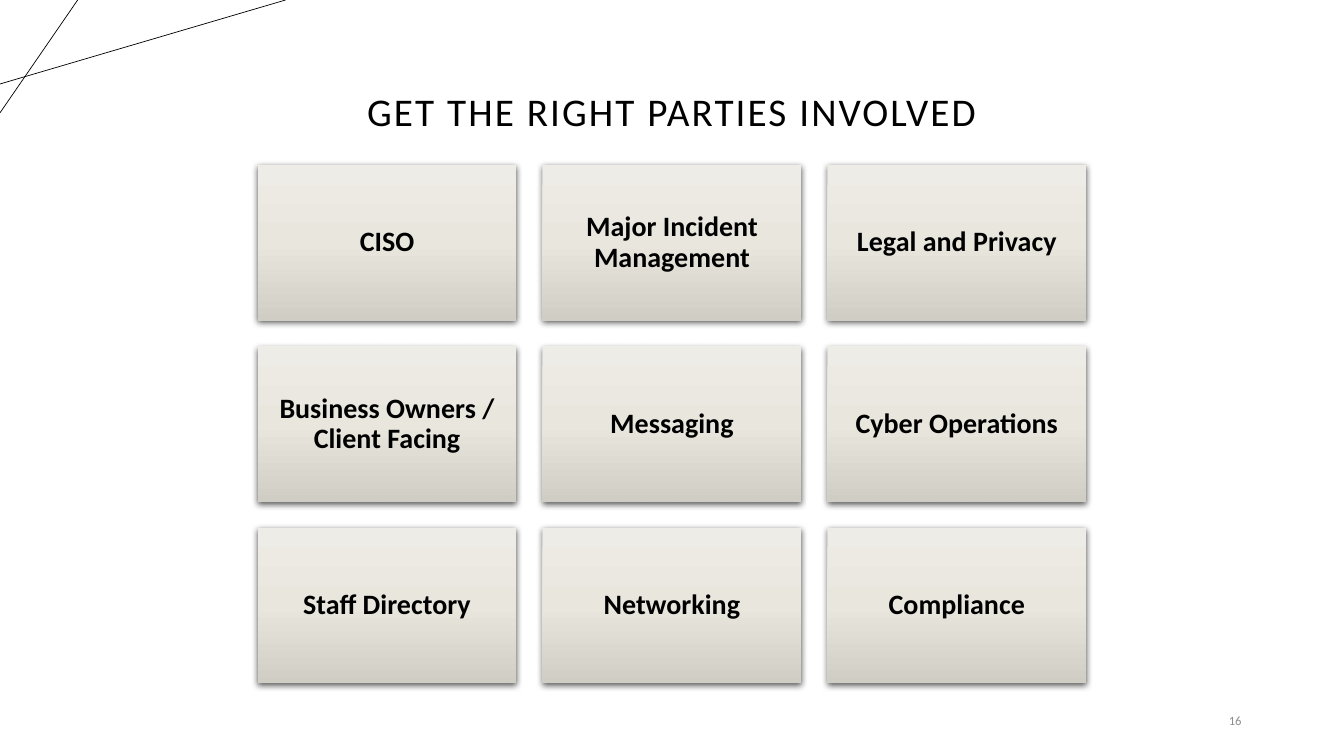
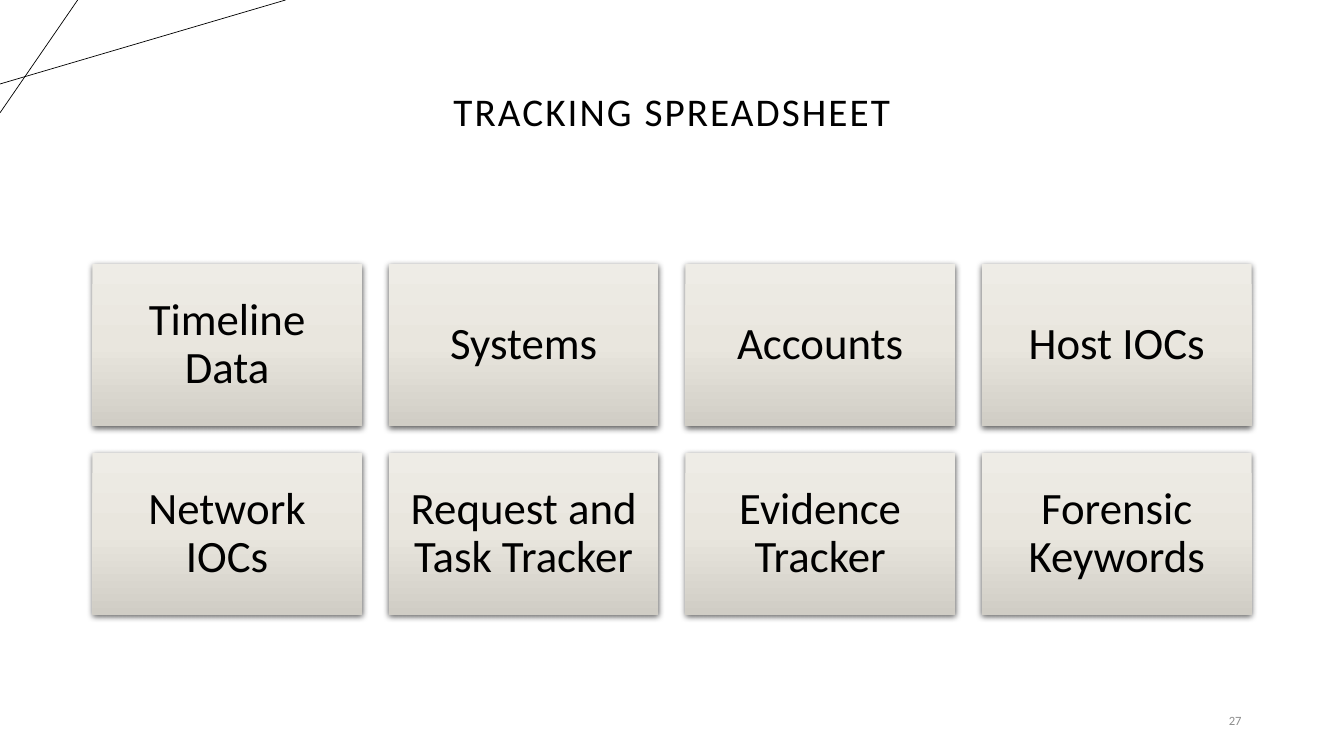
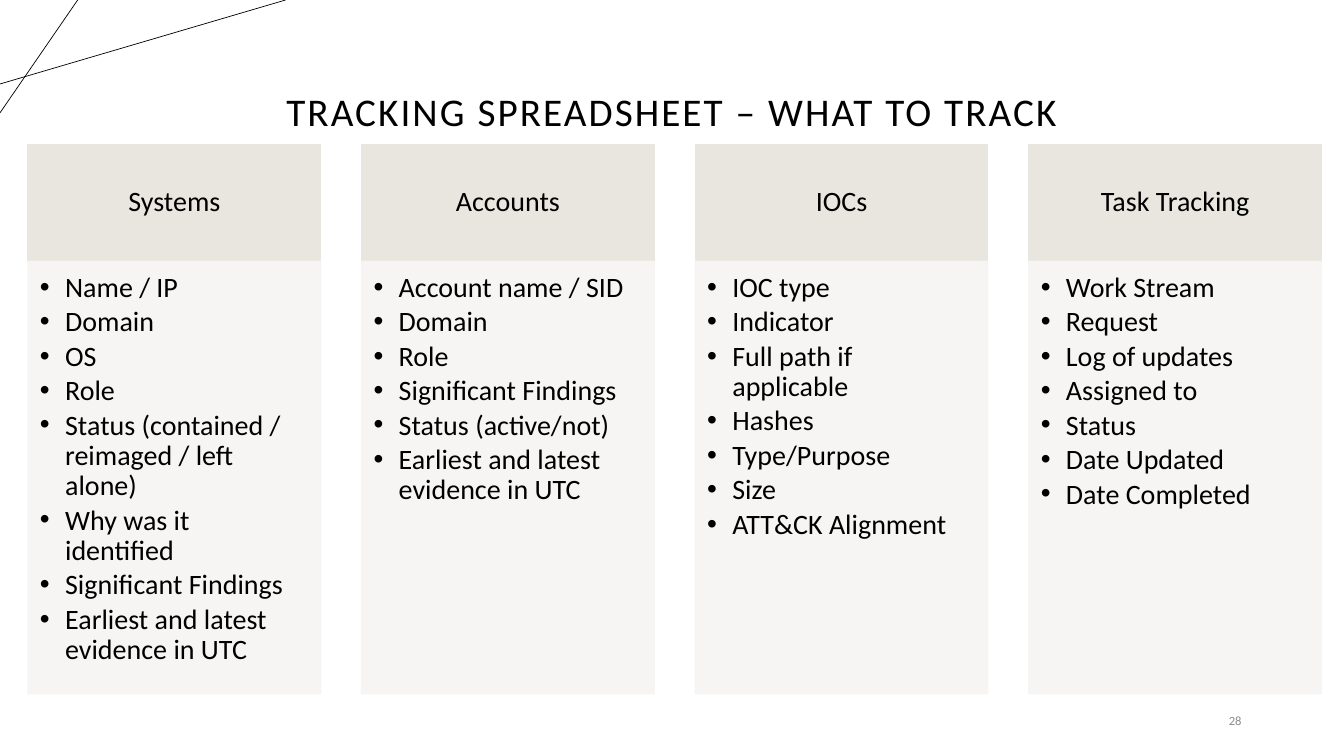
from copy import deepcopy
from dataclasses import dataclass

from lxml.etree import SubElement
from pptx import Presentation
from pptx.dml.color import RGBColor
from pptx.enum.shapes import MSO_CONNECTOR, MSO_SHAPE
from pptx.enum.text import MSO_ANCHOR, MSO_AUTO_SIZE, PP_ALIGN
from pptx.oxml.ns import qn
from pptx.util import Pt

# Content
TILE_PAGES = [
    {
        "title": "GET THE RIGHT PARTIES INVOLVED", "number": "16",
        "columns": 3, "top": 118, "span": 592,
        "text": {"size": 20, "bold": True, "insets": (6, 6, 6, 6)},
        "tiles": [
            "CISO", "Major Incident Management", "Legal and Privacy",
            "Business Owners / Client Facing", "Messaging", "Cyber Operations",
            "Staff Directory", "Networking", "Compliance",
        ],
    },
    {
        "title": "TRACKING SPREADSHEET", "number": "27",
        "columns": 4, "top": 188.7, "span": 828,
        "text": {"size": 32, "insets": (9.6, 9.6, 9.6, 9.6)},
        "tiles": [
            "Timeline Data", "Systems", "Accounts", "Host IOCs",
            "Network IOCs", "Request and Task Tracker", "Evidence Tracker", "Forensic Keywords",
        ],
    },
]
TRACK_PAGE = {
    "title": "TRACKING SPREADSHEET – WHAT TO TRACK", "number": "28",
    "columns": {
        "Systems": [
            "Name / IP", "Domain", "OS", "Role",
            "Status (contained / reimaged / left alone)", "Why was it identified",
            "Significant Findings", "Earliest and latest evidence in UTC",
        ],
        "Accounts": [
            "Account name / SID", "Domain", "Role", "Significant Findings",
            "Status (active/not)", "Earliest and latest evidence in UTC",
        ],
        "IOCs": [
            "IOC type", "Indicator", "Full path if applicable", "Hashes",
            "Type/Purpose", "Size", "ATT&CK Alignment",
        ],
        "Task Tracking": [
            "Work Stream", "Request", "Log of updates", "Assigned to",
            "Status", "Date Updated", "Date Completed",
        ],
    },
}


@dataclass(frozen=True)
class Theme:
    font: str = "Calibri"
    ink: str = "000000"
    muted: str = "8C8C8C"
    header: str = "E9E6DF"
    panel: str = "F7F5F3"
    tile: tuple = ((0, "EEECE6"), (0.5, "E9E6DE"), (1, "D0CDC5"))
    title_size: float = 28
    body_size: float = 20
    number_size: float = 9


THEME = Theme()
WIDTH, HEIGHT = 960, 540
CORNER_LINES = [(0, 60, 204, 0), (55.5, 0, 0, 80.6)]


def color(value):
    return RGBColor.from_string(value)


def points(*values):
    return [Pt(value) for value in values]


# Text
def write(shape, text, *, size=THEME.body_size, ink=THEME.ink, bold=False,
          align=PP_ALIGN.CENTER, anchor=MSO_ANCHOR.MIDDLE, insets=(7.2, 3.6, 7.2, 3.6),
          line_spacing=0.9, after=0, bullet=None, tracking=None):
    """Fill a shape with one paragraph, or with one for each item of a list."""
    frame = shape.text_frame
    frame.word_wrap = True
    frame.auto_size = MSO_AUTO_SIZE.NONE
    frame.vertical_anchor = anchor
    (frame.margin_left, frame.margin_top,
     frame.margin_right, frame.margin_bottom) = points(*insets)
    lines = [text] if isinstance(text, str) else text
    for index, line in enumerate(lines):
        para = frame.add_paragraph() if index else frame.paragraphs[0]
        para.alignment = align
        para.line_spacing = line_spacing
        para.space_before = Pt(0)
        para.space_after = Pt(after)
        if bullet:
            properties = para._p.get_or_add_pPr()
            properties.set("marL", str(Pt(18)))
            properties.set("indent", str(-Pt(18)))
            SubElement(properties, qn("a:buFont"), typeface="Arial")
            SubElement(properties, qn("a:buChar"), char=bullet)
        span = para.add_run()
        span.text = line
        span.font.name = THEME.font
        span.font.size = Pt(size)
        span.font.bold = bold
        span.font.color.rgb = color(ink)
        if tracking:
            span._r.get_or_add_rPr().set("spc", str(round(tracking * 100)))


# Shapes
def add_box(page, left, top, width, height):
    box = page.shapes.add_shape(MSO_SHAPE.RECTANGLE, *points(left, top, width, height))
    box.shadow.inherit = False
    return box


def add_tile(page, *place):
    box = add_box(page, *place)
    box.line.fill.background()
    box.fill.gradient()
    box.fill.gradient_angle = 270
    stops = box._element.spPr.find(qn("a:gradFill")).find(qn("a:gsLst"))
    stops.append(deepcopy(stops[0]))
    for stop, (position, value) in zip(box.fill.gradient_stops, THEME.tile):
        stop.position = position
        stop.color.rgb = color(value)
    shadow = SubElement(box._element.spPr.find(qn("a:effectLst")), qn("a:outerShdw"),
                        blurRad=str(Pt(4.5)), dist=str(Pt(1.5)), dir="5400000",
                        algn="ctr", rotWithShape="0")
    shade = SubElement(shadow, qn("a:srgbClr"), val=THEME.ink)
    SubElement(shade, qn("a:alpha"), val="63000")
    return box


def add_panel(page, *place, fill, opacity=100):
    box = add_box(page, *place)
    box.fill.solid()
    box.fill.fore_color.rgb = color(fill)
    box.line.color.rgb = color(fill)
    box.line.width = Pt(1)
    if opacity < 100:
        for value in box._element.spPr.iter(qn("a:srgbClr")):
            SubElement(value, qn("a:alpha"), val=str(opacity * 1000))
    return box


# Shared page frame
def add_page(deck, title, number):
    page = deck.slides.add_slide(deck.slide_layouts[5])
    for ends in CORNER_LINES:
        line = page.shapes.add_connector(MSO_CONNECTOR.STRAIGHT, *points(*ends))
        line.line.color.rgb = color(THEME.ink)
        line.line.width = Pt(0.5)
        SubElement(line._element.spPr, qn("a:effectLst"))
    heading = page.shapes.title
    heading.left, heading.top, heading.width, heading.height = points(66, 28.8, 828, 104.4)
    write(heading, title, size=THEME.title_size, tracking=1.5)
    footer = page.shapes.add_textbox(*points(678, 500.5, 216, 28.8))
    write(footer, number, size=THEME.number_size, ink=THEME.muted,
          align=PP_ALIGN.RIGHT, line_spacing=1)
    return page


# Pages
def add_tile_page(deck, content):
    page = add_page(deck, content["title"], content["number"])
    columns, span = content["columns"], content["span"]
    width = span / (columns + 0.1 * (columns - 1))
    height, gap = 0.6 * width, 0.1 * width
    left = (WIDTH - span) / 2
    for index, label in enumerate(content["tiles"]):
        row, column = divmod(index, columns)
        tile = add_tile(page, left + column * (width + gap),
                        content["top"] + row * (height + gap), width, height)
        write(tile, label, **content["text"])


def add_track_page(deck, content):
    page = add_page(deck, content["title"], content["number"])
    left, top, width, pitch = 20, 103, 209, 238.3
    header_height, body_height = 83.6, 308.9
    for index, (label, items) in enumerate(content["columns"].items()):
        column = left + index * pitch
        header = add_panel(page, column, top, width, header_height, fill=THEME.header)
        write(header, label, insets=(11.4, 6.5, 11.4, 6.5))
        body = add_panel(page, column, top + header_height, width, body_height,
                         fill=THEME.panel, opacity=90)
        write(body, items, align=PP_ALIGN.LEFT, anchor=MSO_ANCHOR.TOP,
              insets=(8.5, 8.5, 11.4, 12.8), after=3, bullet="•")


def main():
    deck = Presentation()
    deck.slide_width, deck.slide_height = points(WIDTH, HEIGHT)
    for content in TILE_PAGES:
        add_tile_page(deck, content)
    add_track_page(deck, TRACK_PAGE)
    deck.save("out.pptx")


if __name__ == "__main__":
    main()
